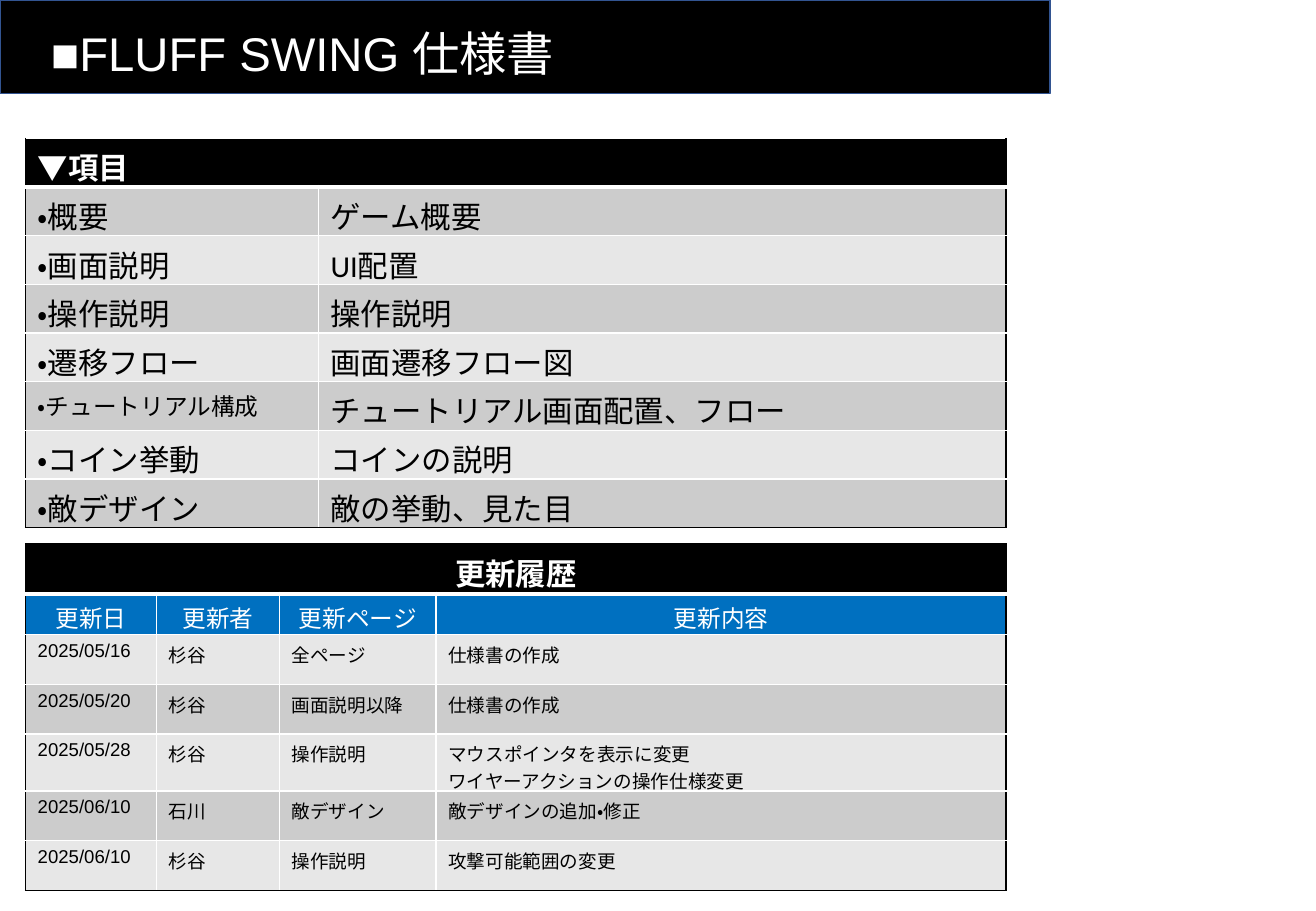
"""Builds the cover slide of a game specification with its contents and update history."""
import copy

import lxml.etree
import pptx
import pptx.dml.color
import pptx.enum.lang
import pptx.enum.shapes
import pptx.enum.text
import pptx.oxml.ns
import pptx.util

RGB = pptx.dml.color.RGBColor
BLACK = RGB(0x00, 0x00, 0x00)
WHITE = RGB(0xFF, 0xFF, 0xFF)
BLUE = RGB(0x00, 0x70, 0xC0)
NAVY = RGB(0x32, 0x54, 0x91)
DARK = RGB(0xCC, 0xCC, 0xCC)
LIGHT = RGB(0xE7, 0xE7, 0xE7)

WIDE, HIGH = 10.83, 7.5
TITLE = "■FLUFF SWING 仕様書"
BAR = (0, 0, 79.78, 10.27)
HEAD = (2.95, 2, 45.7, 7.6)

ITEMS = {
    "at": (1.94, 15.2),
    "cols": [2.41, 5.66],
    "rows": [0.4] * 8,
    "head": "▼項目",
    "centre": False,
    "top": WHITE,
    "names": [],
    "body": [
        ("・概要", "ゲーム概要"),
        ("・画面説明", "UI配置"),
        ("・操作説明", "操作説明"),
        ("・遷移フロー", "画面遷移フロー図"),
        ("・チュートリアル構成", "チュートリアル画面配置、フロー"),
        ("・コイン挙動", "コインの説明"),
        ("・敵デザイン", "敵の挙動、見た目"),
    ],
    "size": 18,
    "small": {"・チュートリアル構成": 14},
    "bands": (DARK, LIGHT),
}
LOG = {
    "at": (1.94, 59.73),
    "cols": [1.08, 1.01, 1.29, 4.69],
    "rows": [0.41, 0.31] + [0.41] * 5,
    "head": "更新履歴",
    "centre": True,
    "top": BLACK,
    "names": [("更新日", "更新者", "更新ページ", "更新内容")],
    "body": [
        ("2025/05/16", "杉谷", "全ページ", "仕様書の作成"),
        ("2025/05/20", "杉谷", "画面説明以降", "仕様書の作成"),
        ("2025/05/28", "杉谷", "操作説明",
         "マウスポインタを表示に変更\nワイヤーアクションの操作仕様変更"),
        ("2025/06/10", "石川", "敵デザイン", "敵デザインの追加・修正"),
        ("2025/06/10", "杉谷", "操作説明", "攻撃可能範囲の変更"),
    ],
    "size": 11,
    "small": {},
    "bands": (LIGHT, DARK),
}


def place(left, top, *size):
    """Turn percentages of the slide into lengths."""
    sides = (WIDE, HIGH, WIDE, HIGH)
    return [pptx.util.Inches(side * part / 100)
            for side, part in zip(sides, (left, top, *size))]


def write(frame, text, size, face, ink, bold=False, centre=False):
    """Write text into a frame, one run to a line."""
    align = pptx.enum.text.PP_ALIGN
    para = frame.paragraphs[0]
    para.alignment = align.CENTER if centre else align.LEFT
    for row, line in enumerate(text.split("\n")):
        if row:
            para.add_line_break()
            para._p[-1].append(copy.deepcopy(run._r.rPr))
        run = para.add_run()
        run.text = line
        font = run.font
        font.size, font.name, font.bold = pptx.util.Pt(size), face, bold
        font.color.rgb = ink
        font.language_id = pptx.enum.lang.MSO_LANGUAGE_ID.JAPANESE


def edge(cell, side, ink, width):
    """Draw one border of a cell."""
    name = pptx.oxml.ns.qn
    line = lxml.etree.SubElement(cell._tc.get_or_add_tcPr(), name("a:ln" + side),
                                 w=str(pptx.util.Pt(width)))
    fill = lxml.etree.SubElement(line, name("a:solidFill"))
    lxml.etree.SubElement(fill, name("a:srgbClr"), val=str(ink))


def dress(cell, row, col, data, fill):
    """Give a cell its borders and its fill."""
    last = len(data["cols"]) - 1
    foot = len(data["rows"]) - 1
    edge(cell, "L", BLACK if col == 0 or row == 0 else WHITE, 1)
    edge(cell, "R", BLACK if col == last or row == 0 else WHITE, 1)
    edge(cell, "T", data["top"] if row == 0 else WHITE, 1)
    edge(cell, "B", BLACK if row == foot else WHITE, 3 if row == 0 else 1)
    cell.fill.solid()
    cell.fill.fore_color.rgb = fill


def draw(slide, data):
    """Draw a table with a merged heading and banded rows."""
    cols, rows = data["cols"], data["rows"]
    size = [pptx.util.Inches(sum(part)) for part in (cols, rows)]
    grid = slide.shapes.add_table(len(rows), len(cols), *place(*data["at"]), *size).table
    for part, width in zip(grid.columns, cols):
        part.width = pptx.util.Inches(width)
    for part, height in zip(grid.rows, rows):
        part.height = pptx.util.Inches(height)

    for col in range(len(cols)):
        dress(grid.cell(0, col), 0, col, data, BLACK)
    grid.cell(0, 0).merge(grid.cell(0, len(cols) - 1))
    write(grid.cell(0, 0).text_frame, data["head"], 18, "Arial", WHITE,
          True, data["centre"])

    start = 1 + len(data["names"])
    for row, texts in enumerate(data["names"] + data["body"], 1):
        named = row < start
        fill = BLUE if named else data["bands"][(row - start) % 2]
        for col, text in enumerate(texts):
            cell = grid.cell(row, col)
            dress(cell, row, col, data, fill)
            points = 14 if named else data["small"].get(text, data["size"])
            write(cell.text_frame, text, points, "Calibri" if col else "Arial",
                  WHITE if named else BLACK, centre=named)


def main():
    """Build and save the slide."""
    deck = pptx.Presentation()
    deck.slide_width = pptx.util.Inches(WIDE)
    deck.slide_height = pptx.util.Inches(HIGH)
    slide = deck.slides.add_slide(deck.slide_layouts[5])

    bar = slide.shapes.add_shape(pptx.enum.shapes.MSO_SHAPE.RECTANGLE, *place(*BAR))
    bar.shadow.inherit = False
    bar.fill.solid()
    bar.fill.fore_color.rgb = BLACK
    bar.line.color.rgb = NAVY
    bar.line.width = pptx.util.Pt(1)

    title = slide.shapes.title
    bar._element.addnext(title._element)
    title.left, title.top, title.width, title.height = place(*HEAD)
    frame = title.text_frame
    frame.word_wrap = True
    frame.auto_size = pptx.enum.text.MSO_AUTO_SIZE.SHAPE_TO_FIT_TEXT
    frame.vertical_anchor = pptx.enum.text.MSO_ANCHOR.TOP
    write(frame, TITLE, 28, "Arial", WHITE)

    for data in (ITEMS, LOG):
        draw(slide, data)
    deck.save("out.pptx")


if __name__ == "__main__":
    main()
